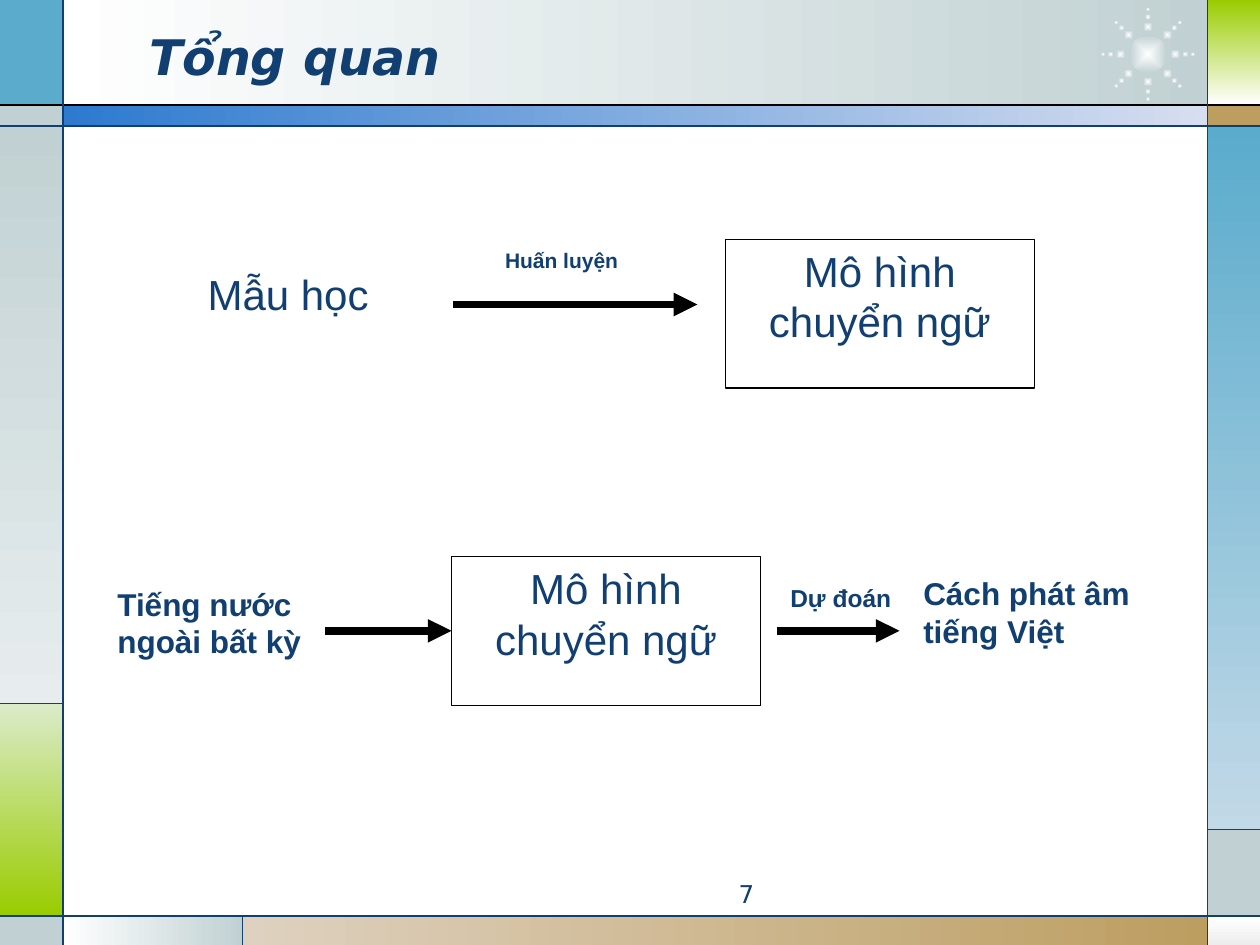
from dataclasses import dataclass
from math import cos, radians, sin

from lxml.etree import SubElement
from pptx import Presentation
from pptx.dml.color import RGBColor
from pptx.enum.shapes import MSO_CONNECTOR as Connector, MSO_SHAPE as Shape
from pptx.enum.text import MSO_ANCHOR as Anchor, PP_ALIGN as Align
from pptx.oxml.ns import qn
from pptx.util import Pt


@dataclass(frozen=True)
class Theme:
    navy: str = "113F71"
    black: str = "000000"
    white: str = "FFFFFF"
    mist: str = "C1D1D3"
    pale_mist: str = "E7EDEE"
    teal: str = "5AABCC"
    pale_teal: str = "C2D9E7"
    lime: str = "99CC00"
    pale_lime: str = "DBEBC9"
    tan: str = "BD9E61"
    pale_tan: str = "DED1BF"
    blue: str = "2D7ACF"
    pale_blue: str = "D7DEF0"
    grey: str = "EDEDED"
    body_font: str = "Arial"
    title_font: str = "DejaVu Sans"
    title_size: int = 28
    model_size: int = 24
    label_size: int = 18
    small_size: int = 14
    caption_size: int = 12
    thin: float = 0.75
    thick: float = 4.5


THEME = Theme()
ACROSS, DOWN = 0, 270


def rgb(color):
    return RGBColor.from_string(color)


def fill_gradient(shape, start, end, angle=None):
    """Two-colour gradient: linear at the angle, or radial without one."""
    shape.fill.gradient()
    for stop, color in zip(shape.fill.gradient_stops, (start, end)):
        stop.color.rgb = rgb(color)
    if angle is not None:
        shape.fill.gradient_angle = angle
        return
    gradient = shape._element.spPr.find(qn("a:gradFill"))
    gradient.remove(gradient.find(qn("a:lin")))
    radial = SubElement(gradient, qn("a:path"), path="shape")
    SubElement(radial, qn("a:fillToRect"), l="50000", t="50000", r="50000", b="50000")


def add_block(slide, box, kind=Shape.RECTANGLE):
    shape = slide.shapes.add_shape(kind, *map(Pt, box))
    shape.shadow.inherit = False
    shape.line.fill.background()
    return shape


def add_line(slide, start, end, color, width):
    line = slide.shapes.add_connector(Connector.STRAIGHT, *map(Pt, start + end))
    line.line.color.rgb = rgb(color)
    line.line.width = Pt(width)
    SubElement(line._element.spPr, qn("a:effectLst"))
    return line


def add_arrow(slide, start, end):
    arrow = add_line(slide, start, end, THEME.black, THEME.thick)
    SubElement(arrow.line._get_or_add_ln(), qn("a:tailEnd"), type="triangle")
    return arrow


def write(shape, text, size, align=Align.LEFT, anchor=Anchor.TOP, **font_values):
    frame = shape.text_frame
    frame.word_wrap = True
    frame.vertical_anchor = anchor
    frame.text = text
    paragraph = frame.paragraphs[0]
    paragraph.alignment = align
    font = paragraph.runs[0].font
    font.color.rgb = rgb(THEME.navy)
    values = {"name": THEME.body_font, "size": Pt(size), **font_values}
    for name, value in values.items():
        setattr(font, name, value)


def add_label(slide, box, text, size, **formats):
    write(slide.shapes.add_textbox(*map(Pt, box)), text, size, **formats)


def add_model(slide, box):
    model = add_block(slide, box)
    model.fill.solid()
    model.fill.fore_color.rgb = rgb(THEME.white)
    model.line.color.rgb = rgb(THEME.black)
    model.line.width = Pt(THEME.thin)
    write(model, "Mô hình chuyển ngữ", THEME.model_size, align=Align.CENTER)
    return model


def add_star(slide, box):
    """A core with eight rays of three shrinking dots."""
    left, top, width, height = box
    center_x, center_y = left + width / 2, top + height / 2
    reach = width / 2
    dots = [(0, 0, 21.6)]
    for angle in range(0, 360, 45):
        for radius, size in ((0.58, 5.4), (0.79, 3.4), (0.95, 2.5)):
            dots.append((angle, radius * reach, size))
    for angle, radius, size in dots:
        x = center_x + radius * cos(radians(angle)) - size / 2
        y = center_y + radius * sin(radians(angle)) - size / 2
        dot = add_block(slide, (x, y, size, size), Shape.OVAL)
        fill_gradient(dot, THEME.white, THEME.mist)


def add_frame(slide, box):
    """Coloured tiles around the page, with the rules between them."""
    left, top, width, height = box
    right, bottom = left + width, top + height
    inner_left, inner_right, foot_split = left + 36, right - 30, left + 138.5
    header, band, foot = top + 60, top + 72, bottom - 16.5
    left_split, right_split = top + 402, top + 474
    t = THEME
    tiles = [  # left, top, right, bottom, start colour, end colour, angle
        (inner_left, top, inner_right, header, t.white, t.mist, ACROSS),
        (left, top, inner_left, header, t.teal, t.teal, DOWN),
        (left, header, inner_left, band, t.mist, t.mist, DOWN),
        (left, band, inner_left, left_split, t.mist, t.pale_mist, DOWN),
        (left, left_split, inner_left, foot, t.pale_lime, t.lime, DOWN),
        (left, foot, inner_left, bottom, t.mist, t.mist, DOWN),
        (inner_left, foot, foot_split, bottom, t.white, t.mist, ACROSS),
        (foot_split, foot, inner_right, bottom, t.pale_tan, t.tan, ACROSS),
        (inner_right, foot, right, bottom, t.white, t.grey, DOWN),
        (inner_right, right_split, right, foot, t.mist, t.mist, DOWN),
        (inner_right, band, right, right_split, t.teal, t.pale_teal, DOWN),
        (inner_right, header, right, band, t.tan, t.tan, DOWN),
        (inner_right, top, right, header, t.lime, t.white, DOWN),
        (inner_left, header, inner_right, band, t.blue, t.pale_blue, ACROSS),
    ]
    for x1, y1, x2, y2, start, end, angle in tiles:
        tile = add_block(slide, (x1, y1, x2 - x1, y2 - y1))
        if start == end:
            tile.fill.solid()
            tile.fill.fore_color.rgb = rgb(start)
        else:
            fill_gradient(tile, start, end, angle)
    add_star(slide, (inner_right - 61, top + 4, 54, 54))

    add_line(slide, (left, header), (right, header), t.black, t.thin)
    for start, end in (
        ((left, band), (right, band)),
        ((left, foot), (right, foot)),
        ((inner_left, top), (inner_left, bottom)),
        ((inner_right, top), (inner_right, bottom)),
        ((left, left_split), (inner_left, left_split)),
        ((foot_split, foot), (foot_split, bottom)),
        ((inner_right, right_split), (right, right_split)),
    ):
        add_line(slide, start, end, t.navy, t.thin)


def place_title(slide, box):
    title = slide.shapes.title
    title.left, title.top, title.width, title.height = map(Pt, box)
    write(title, "Tổng quan", THEME.title_size, anchor=Anchor.MIDDLE,
          name=THEME.title_font, bold=True, italic=True)
    slide.shapes._spTree.append(title._element)  # in front of the frame


def add_training_row(slide, box):
    left, top, width, height = box
    add_model(slide, (left + width - 176.5, top, 176.5, height))
    add_label(slide, (left, top + 13, 142, 63), "Mẫu học", THEME.model_size)
    add_arrow(slide, (left + 147.5, top + 37.3), (left + 287, top + 37.3))
    add_label(slide, (left + 170, top + 1.5, 98, 36), "Huấn luyện",
              THEME.caption_size, bold=True)


def add_prediction_row(slide, box):
    left, top, width, height = box
    middle = top + height / 2
    model = add_model(slide, (left + 198, top, 176.5, height))
    add_label(slide, (left, top + 12.5, 125, 71), "Tiếng nước ngoài bất kỳ",
              THEME.label_size, bold=True)
    add_arrow(slide, (left + 126, middle), (left + 198, middle)).end_connect(model, 1)
    add_label(slide, (left + 384.5, top + 11.5, 98, 63), "Dự đoán",
              THEME.small_size, bold=True)
    add_label(slide, (left + width - 139.5, top + 6.5, 139.5, 71),
              "Cách phát âm tiếng Việt", THEME.label_size, bold=True)
    add_arrow(slide, (left + 384, middle), (left + 454, middle))


def main():
    presentation = Presentation()
    presentation.slide_width, presentation.slide_height = Pt(720), Pt(540)
    slide = presentation.slides.add_slide(presentation.slide_layouts[5])
    add_frame(slide, (0, 0, 720, 540))
    place_title(slide, (78, 9.5, 528, 44.5))
    add_label(slide, (270, 499, 168, 19.5), "7", THEME.small_size,
              align=Align.RIGHT, name=THEME.title_font)
    add_training_row(slide, (111.5, 136.7, 479.5, 85))
    add_prediction_row(slide, (60, 318, 600, 85))
    presentation.save("out.pptx")


if __name__ == "__main__":
    main()
